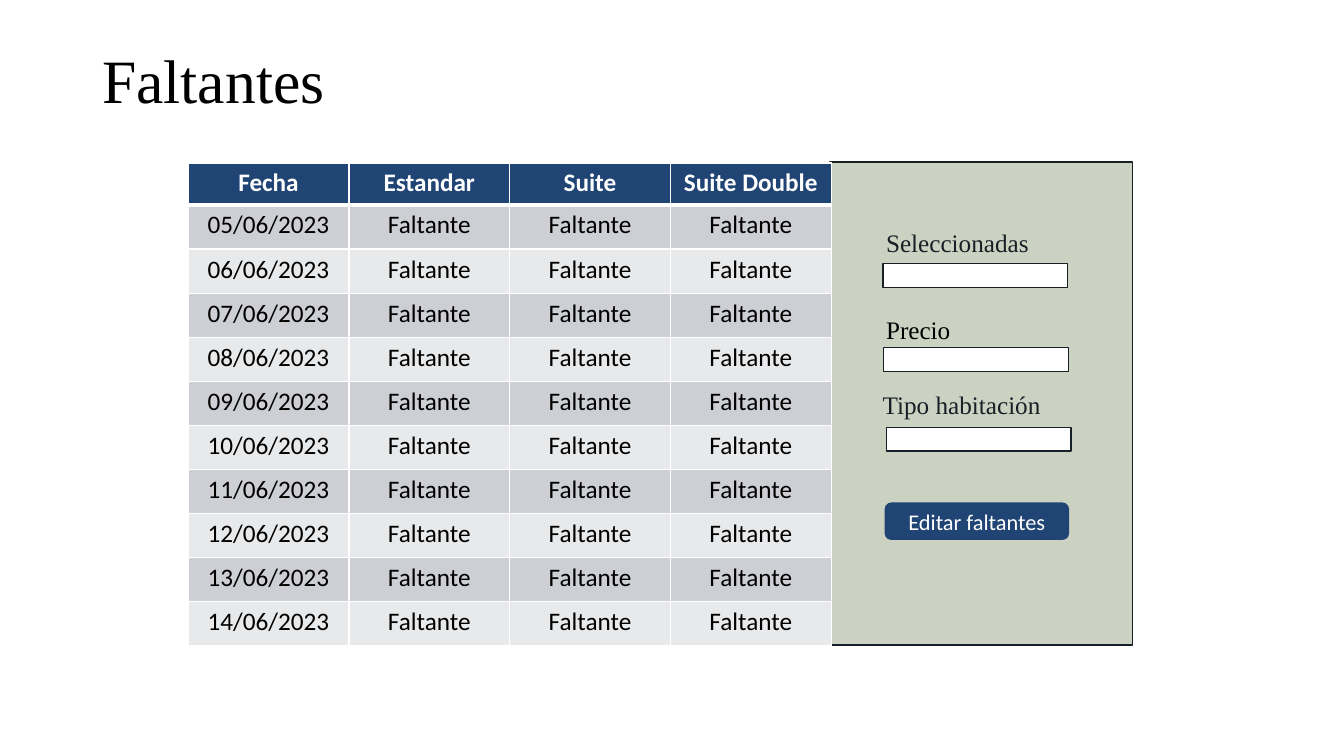
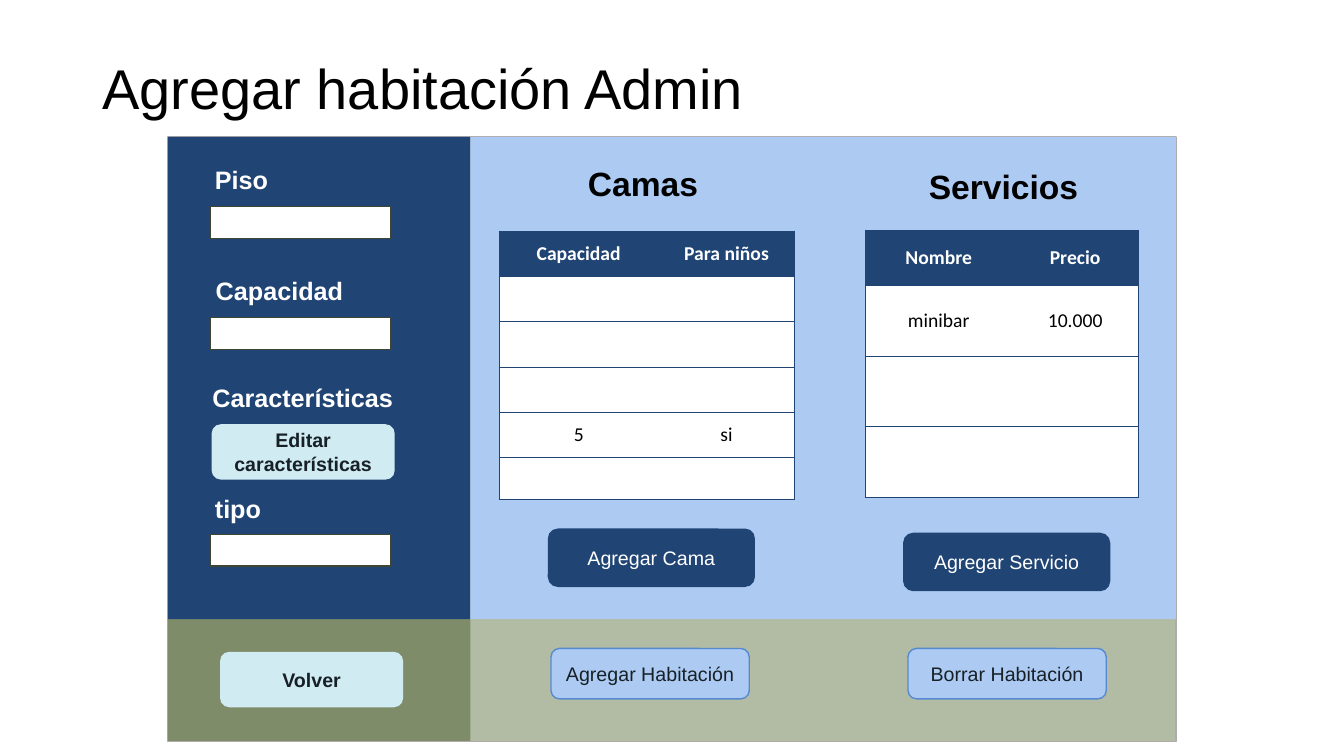
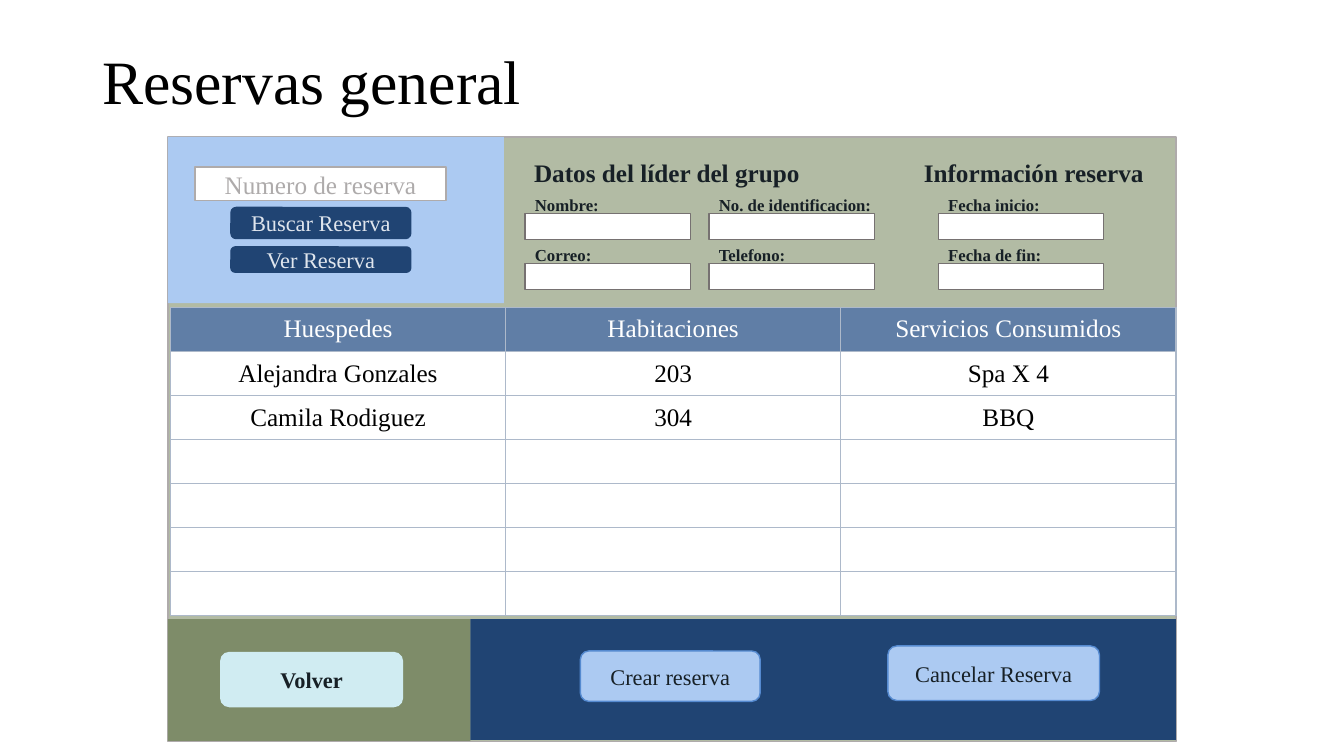
"""Build three mock-up slides of a hotel administration system."""
from lxml.etree import SubElement
from pptx import Presentation
from pptx.dml.color import RGBColor as Rgb
from pptx.enum.shapes import MSO_SHAPE as Preset
from pptx.enum.text import MSO_ANCHOR as Anchor, PP_ALIGN as Align
from pptx.oxml.ns import qn
from pptx.util import Inches, Pt

COLORS = {
    "white": "FFFFFF", "black": "000000", "ink": "172026", "navy": "204473",
    "steel": "607EA6", "sky": "ACCAF2", "sky_edge": "558AD0", "ice": "D0ECF2",
    "pale_blue": "DFE5ED", "sage": "B2BBA4", "light_sage": "CCD2C2",
    "olive": "7E8C69", "dark_olive": "3F4634", "silver": "AFABAB",
    "hint": "AEABAB", "gray": "767171", "rule": "ADB9CA",
    "band_dark": "CDCFD5", "band_light": "E8E9EB",
}
SERIF, SANS, BODY = "Times New Roman", "Arial", "Calibri"

deck = Presentation()
deck.slide_width, deck.slide_height = Inches(40 / 3), Inches(7.5)
UNIT = deck.slide_width / 160


def write(frame, text, font=SERIF, size=18, color="ink", bold=False,
          align=Align.LEFT, spacing=None):
    """Put one formatted paragraph in a text frame."""
    paragraph = frame.paragraphs[0]
    paragraph.alignment = align
    if spacing:
        paragraph.line_spacing = spacing
    run = paragraph.add_run()
    run.text = text
    run.font.name, run.font.size, run.font.bold = font, Pt(size), bold
    run.font.color.rgb = Rgb.from_string(COLORS[color])


def place(slide, box, text="", fill=None, line=None, rounded=False,
          anchor=Anchor.MIDDLE, **style):
    """Add a filled shape, or a plain text box when there is no fill."""
    area = [round(cells * UNIT) for cells in box]
    if fill:
        preset = Preset.ROUNDED_RECTANGLE if rounded else Preset.RECTANGLE
        part = slide.shapes.add_shape(preset, *area)
        part.shadow.inherit = False
        part.fill.solid()
        part.fill.fore_color.rgb = Rgb.from_string(COLORS[fill])
        if line:
            part.line.color.rgb = Rgb.from_string(COLORS[line])
            part.line.width = Pt(1)
        else:
            part.line.fill.background()
        style = {"align": Align.CENTER, **style}
    else:
        part = slide.shapes.add_textbox(*area)
    part.text_frame.word_wrap = True
    part.text_frame.vertical_anchor = anchor
    if text:
        write(part.text_frame, text, **style)


titles = [("Faltantes", 4.6, 44, SERIF), ("Agregar habitación Admin", 5.6, 40, SANS),
          ("Reservas general", 4.8, 44, SERIF)]
slides = []
for title, top, size, font in titles:
    slide = deck.slides.add_slide(deck.slide_layouts[6])
    place(slide, (11, top, 138, 10.6), title, font=font, size=size,
          color="black", spacing=0.9)
    slides.append(slide)
shortages, room, booking = slides

LEFT, TOP, SPLIT, FOOT = 20, 16.3, 56, 73.7
for slide, font, size in [(room, SANS, 14), (booking, SERIF, 16)]:
    place(slide, (LEFT, TOP, 120, 72), fill="sage", line="silver")
    place(slide, (LEFT, FOOT, 36, 14.5), fill="olive")
    place(slide, (26.2, 77.6, 21.8, 6.6), "Volver", fill="ice", rounded=True,
          font=font, size=size, bold=True)

place(shortages, (98.8, 19.3, 36, 57.5), fill="light_sage", line="ink")
for label, label_left, label_top, color, field_left, field_top in [
    ("Seleccionadas", 104.3, 26.5, "ink", 105.1, 31.4),
    ("Precio", 104.3, 36.8, "black", 105.2, 41.4),
    ("Tipo habitación", 103.9, 45.8, "ink", 105.5, 50.9),
]:
    place(shortages, (label_left, label_top, 24.8, 4.8), label,
          anchor=Anchor.TOP, color=color)
    place(shortages, (field_left, field_top, 22, 2.8), fill="white", line="ink")
place(shortages, (105.4, 59.9, 21.8, 4.3), "Editar faltantes", fill="navy",
      line="navy", rounded=True, font=BODY, size=16, color="white")

place(room, (LEFT, TOP, 36, 57.4), fill="navy")
place(room, (SPLIT, TOP, 84, 57.4), fill="sky")
for label, left, top in [("Piso", 24.4, 19), ("Capacidad", 24.5, 32.2),
                         ("Características", 24.1, 44.9), ("tipo", 24.4, 58.1)]:
    place(room, (left, top, 28, 4.8), label, anchor=Anchor.TOP, font=SANS,
          color="white", bold=True)
for top in (24.6, 37.8, 63.6):
    place(room, (25.1, top, 21.4, 3.8), fill="white", line="dark_olive")
place(room, (25.2, 50.5, 21.8, 6.6), "Editar características", fill="ice",
      rounded=True, font=SANS, size=14, bold=True)
for heading, left, top in [("Camas", 68.8, 18.8), ("Servicios", 109.4, 19.2)]:
    place(room, (left, top, 20.9, 6), heading, anchor=Anchor.TOP, font=SANS,
          size=24, color="black", bold=True)
for action, left, top in [("Agregar Cama", 65.3, 63), ("Agregar Servicio", 107.6, 63.5)]:
    place(room, (left, top, 24.5, 6.8), action, fill="navy", line="navy",
          rounded=True, font=SANS, size=14, color="white")
for action, left in [("Agregar Habitación", 65.6), ("Borrar Habitación", 108.1)]:
    place(room, (left, 77.2, 23.6, 6), action, fill="sky", line="sky_edge",
          rounded=True, font=SANS, size=14)

place(booking, (SPLIT, FOOT, 84, 14.4), fill="navy")
place(booking, (LEFT, TOP, 40, 19.8), fill="sky")
place(booking, (23.2, 19.9, 29.9, 4), "Numero de reserva", fill="white",
      line="silver", color="hint")
for action, top, height in [("Buscar Reserva", 24.7, 3.7), ("Ver Reserva", 29.4, 3)]:
    place(booking, (27.5, top, 21.4, height), action, fill="navy", line="navy",
          rounded=True, size=16, color="pale_blue")
for action, box in [("Crear reserva", (69.1, 77.5, 21.4, 6)),
                    ("Cancelar Reserva", (105.7, 76.9, 25.2, 6.5))]:
    place(booking, box, action, fill="sky", line="sky_edge", rounded=True, size=16)
for heading, left in [("Datos del líder del grupo", 62.4), ("Información reserva", 108.8)]:
    place(booking, (left, 18.1, 51.2, 4.8), heading, anchor=Anchor.TOP, bold=True)
for left, labels in [(62.5, ("Nombre:", "Correo:")),
                     (84.4, ("No. de identificacion:", "Telefono:")),
                     (111.7, ("Fecha inicio:", "Fecha de fin:"))]:
    for row, label in enumerate(labels):
        top = 22.6 + 6 * row
        place(booking, (left, top + 2.8, 19.7, 3.1), fill="white", line="gray")
        place(booking, (left, top, 27.4, 3.6), label, anchor=Anchor.TOP,
              size=12, bold=True)

shortage_rows = [["Fecha", "Estandar", "Suite", "Suite Double"]]
shortage_rows += [[f"{day:02}/06/2023"] + ["Faltante"] * 3 for day in range(5, 15)]
bed_rows = [["Capacidad", "Para niños"], *[["", ""]] * 3, ["5", "si"], ["", ""]]
service_rows = [["Nombre", "Precio"], ["minibar", "10.000"], *[["", ""]] * 2]
guest_rows = [["Huespedes", "Habitaciones", "Servicios Consumidos"],
              ["Alejandra Gonzales", "203", "Spa X 4"],
              ["Camila Rodiguez", "304", "BBQ"], *[[""] * 3] * 4]
plain = ("white", "white")
boxed = {"header": "navy", "bands": plain, "edge": "navy", "weight": 0.5,
         "header_rule": 0.5, "inner": False, "anchor": Anchor.MIDDLE,
         "font": BODY, "size": 14, "bold": True}
banded = {**boxed, "bands": ("band_dark", "band_light"), "edge": "white",
          "weight": 1, "header_rule": 3, "inner": True, "anchor": Anchor.TOP,
          "size": 18}
ruled = {**boxed, "header": "steel", "edge": "rule", "weight": 1,
         "header_rule": 1, "inner": True, "font": SERIF, "size": 18, "bold": False}

for slide, left, top, widths, heights, rows, look in [
    (shortages, 22.4, 19.4, [19.14] * 4, [5] + [5.25] * 10, shortage_rows, banded),
    (room, 59.4, 27.5, [19, 16.2], [5.4] * 5 + [5], bed_rows, boxed),
    (room, 103, 27.4, [17.5, 15], [6.6] + [8.4] * 3, service_rows, boxed),
    (booking, 20.3, 36.6, [39.9] * 3, [5.24] * 7, guest_rows, ruled),
]:
    area = [round(cells * UNIT) for cells in (left, top, sum(widths), sum(heights))]
    table = slide.shapes.add_table(len(rows), len(widths), *area).table
    table.first_row = table.horz_banding = False
    for column, width in zip(table.columns, widths):
        column.width = round(width * UNIT)
    for r, (row, height) in enumerate(zip(rows, heights)):
        table.rows[r].height = round(height * UNIT)
        for c, value in enumerate(row):
            cell = table.cell(r, c)
            under_header = {"T": r == 1, "B": r == 0}
            hidden = {"L": c > 0, "R": c < len(widths) - 1}
            for side in "LRTB":
                heavy = under_header.get(side, False)
                weight = look["header_rule"] if heavy else look["weight"]
                edge = SubElement(cell._tc.get_or_add_tcPr(), qn(f"a:ln{side}"),
                                  w=str(Pt(weight)))
                if hidden.get(side, False) and not look["inner"]:
                    SubElement(edge, qn("a:noFill"))
                else:
                    SubElement(SubElement(edge, qn("a:solidFill")), qn("a:srgbClr"),
                               val=COLORS[look["edge"]])
            fill = look["bands"][(r - 1) % 2] if r else look["header"]
            cell.fill.solid()
            cell.fill.fore_color.rgb = Rgb.from_string(COLORS[fill])
            cell.vertical_anchor = look["anchor"]
            if value:
                write(cell.text_frame, value, font=look["font"], size=look["size"],
                      color="black" if r else "white", align=Align.CENTER,
                      bold=look["bold"] and r == 0)

deck.save("out.pptx")
